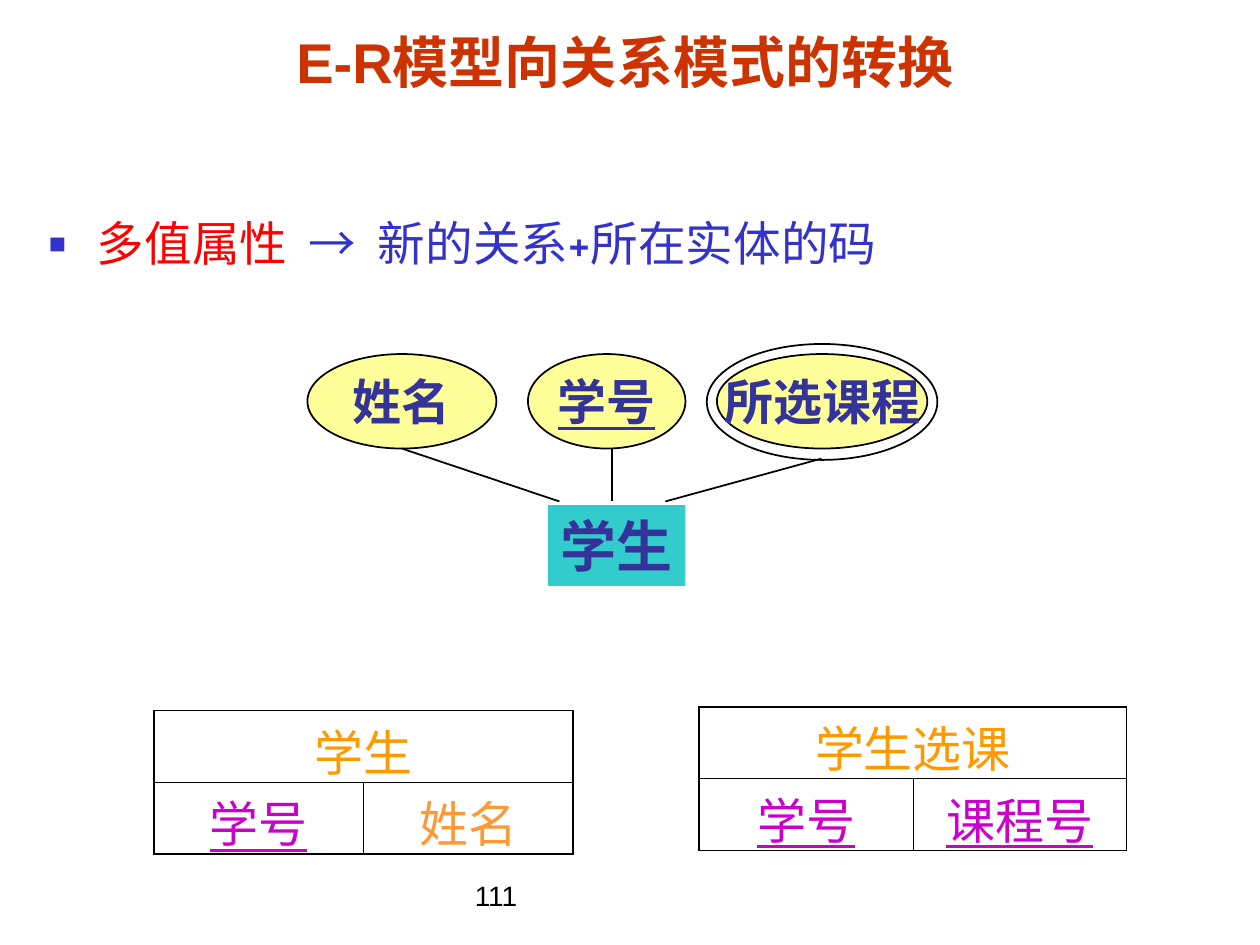
from dataclasses import dataclass

from lxml import etree
from pptx import Presentation
from pptx import util as u
from pptx.dml.color import RGBColor
from pptx.enum import shapes, text
from pptx.oxml import ns

A = ns.nsdecls("a")
CENTER = text.PP_ALIGN.CENTER
MIDDLE = text.MSO_ANCHOR.MIDDLE


# Colours, fonts and type sizes
@dataclass(frozen=True)
class Theme:
    black: str = "000000"
    rust: str = "CC3300"
    red: str = "FF0000"
    blue: str = "3333CC"
    navy: str = "333399"
    teal: str = "33CCCC"
    cream: str = "FFFF99"
    gold: str = "FF9900"
    peach: str = "FF9933"
    plum: str = "CC00CC"
    sans: str = "Arial"
    soft: str = "Cabin"
    serif: str = "Times New Roman"
    head: float = 32
    point: float = 27.2
    label: float = 28
    page: float = 16
    line: float = 1
    outer: float = 1.08
    inner: float = 0.45


T = Theme()


def rgb(code):
    return RGBColor.from_string(code)


def add_run(para, words, size, face, color, bold=False, under=False):
    run = para.add_run()
    run.text = words
    font = run.font
    font.size, font.name = u.Pt(size), face
    font.bold, font.underline = bold, under
    font.color.rgb = rgb(color)


def add_box(slide, left, top, width, height):
    box = slide.shapes.add_textbox(*map(u.Inches, (left, top, width, height)))
    box.text_frame.word_wrap = True
    return box.text_frame


def add_bullet(para, hang):
    props = para._p.get_or_add_pPr()
    props.set("marL", str(u.Inches(hang)))
    props.set("indent", str(-u.Inches(hang)))
    for xml in (
        f'<a:buClr {A}><a:srgbClr val="{T.blue}"/></a:buClr>',
        f'<a:buSzPct {A} val="60000"/>',
        f'<a:buFont {A} typeface="{T.sans}"/>',
        f'<a:buChar {A} char="■"/>',
    ):
        props.append(etree.fromstring(xml))


def add_node(slide, kind, left, top, width, height, fill=None, line=None):
    node = slide.shapes.add_shape(kind, *map(u.Inches, (left, top, width, height)))
    node.shadow.inherit = False
    if fill:
        node.fill.solid()
        node.fill.fore_color.rgb = rgb(fill)
    else:
        node.fill.background()
    if line:
        node.line.color.rgb = rgb(line)
        node.line.width = u.Pt(T.line)
    else:
        node.line.fill.background()
    return node


def add_label(node, words, size, under=False):
    frame = node.text_frame
    frame.word_wrap = False
    frame.vertical_anchor = MIDDLE
    para = frame.paragraphs[0]
    para.alignment = CENTER
    add_run(para, words, size, T.serif, T.navy, True, under)


def add_link(slide, *ends):
    link = slide.shapes.add_connector(
        shapes.MSO_CONNECTOR.STRAIGHT, *map(u.Inches, ends))
    link.line.color.rgb = rgb(T.black)
    link.line.width = u.Pt(T.line)
    link._element.spPr.append(etree.fromstring(f"<a:effectLst {A}/>"))


def set_edge(cell, side, width):
    cell._tc.get_or_add_tcPr().append(etree.fromstring(
        f'<a:ln{side} {A} w="{u.Pt(width)}"><a:solidFill>'
        f'<a:srgbClr val="{T.black}"/></a:solidFill></a:ln{side}>'))


def add_grid(slide, left, top, width, head, keys):
    """A relation: its name across the top, its fields below."""
    table = slide.shapes.add_table(
        2, 2, *map(u.Inches, (left, top, width, 1.14))).table
    table.first_row = table.horz_banding = False
    table.cell(0, 0).merge(table.cell(0, 1))
    cells = {(0, 0): (head, T.gold, False)}
    cells.update({(1, col): key for col, key in enumerate(keys)})

    for row in range(2):
        for col in range(2):
            cell = table.cell(row, col)
            # Slim margins keep the underlines inside the frame
            cell.margin_top, cell.margin_bottom = u.Inches(0.03), 0
            # Heavy frame, thin lines within
            whole = row == 0
            heavy = {"L": whole or col == 0, "R": whole or col == 1,
                     "T": row == 0, "B": row == 1}
            for side, strong in heavy.items():
                set_edge(cell, side, T.outer if strong else T.inner)
            cell.fill.background()
            if (row, col) in cells:
                words, color, under = cells[row, col]
                para = cell.text_frame.paragraphs[0]
                para.alignment = CENTER
                add_run(para, words, T.label, T.soft, color, under=under)


def main():
    deck = Presentation()
    deck.slide_width, deck.slide_height = u.Inches(10), u.Inches(7.5)
    slide = deck.slides.add_slide(deck.slide_layouts[6])

    # Page number
    para = add_box(slide, 3.67, 6.92, 3.17, 0.5).paragraphs[0]
    add_run(para, "111", T.page, T.sans, T.black)

    # Title
    frame = add_box(slide, 0.25, 0.13, 9.42, 0.67)
    frame.vertical_anchor = text.MSO_ANCHOR.BOTTOM
    para = frame.paragraphs[0]
    para.alignment = CENTER
    add_run(para, "E-R模型向关系模式的转换", T.head, T.sans, T.rust, True)

    # Rule
    para = add_box(slide, 0.29, 1.7, 9.42, 0.58).paragraphs[0]
    add_bullet(para, 0.38)
    para.alignment = text.PP_ALIGN.JUSTIFY
    para.line_spacing = 0.9
    for words, face, color in (
        ("多值属性  ", T.soft, T.red),
        ("→", T.sans, T.blue),
        ("  新的关系+所在实体的码", T.soft, T.blue),
    ):
        add_run(para, words, T.point, face, color)

    # Entity and its attributes
    kinds = shapes.MSO_SHAPE
    node = add_node(slide, kinds.RECTANGLE, 4.35, 4.01, 1.09, 0.64, T.teal)
    add_label(node, "学生", T.head)
    for words, left, width, under in (
        ("姓名", 2.44, 1.5, False),
        ("学号", 4.19, 1.25, True),
        ("所选课程", 5.69, 1.67, False),
    ):
        node = add_node(slide, kinds.OVAL, left, 2.81, width, 0.75,
                        T.cream, T.black)
        add_label(node, words, T.label, under)

    # Links, then the ring that marks many values
    for ends in ((4.86, 3.56, 4.86, 3.98), (4.44, 3.98, 3.19, 3.56),
                 (5.28, 3.98, 6.52, 3.64)):
        add_link(slide, *ends)
    add_node(slide, kinds.OVAL, 5.61, 2.73, 1.83, 0.92, line=T.black)

    # Relations that result
    code = ("学号", T.plum, True)
    add_grid(slide, 1.22, 5.64, 3.33, "学生",
             (code, ("姓名", T.peach, False)))
    add_grid(slide, 5.55, 5.61, 3.39, "学生选课",
             (code, ("课程号", T.plum, True)))

    deck.save("out.pptx")


if __name__ == "__main__":
    main()
